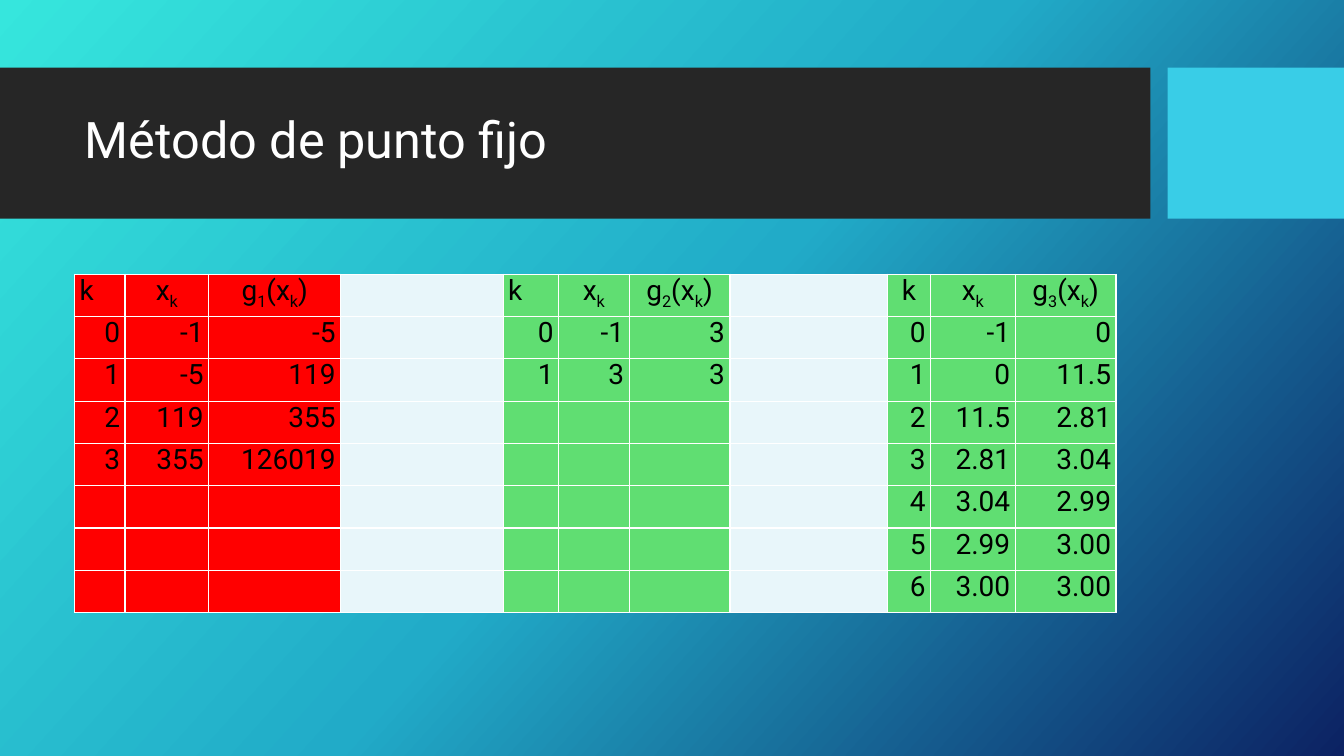
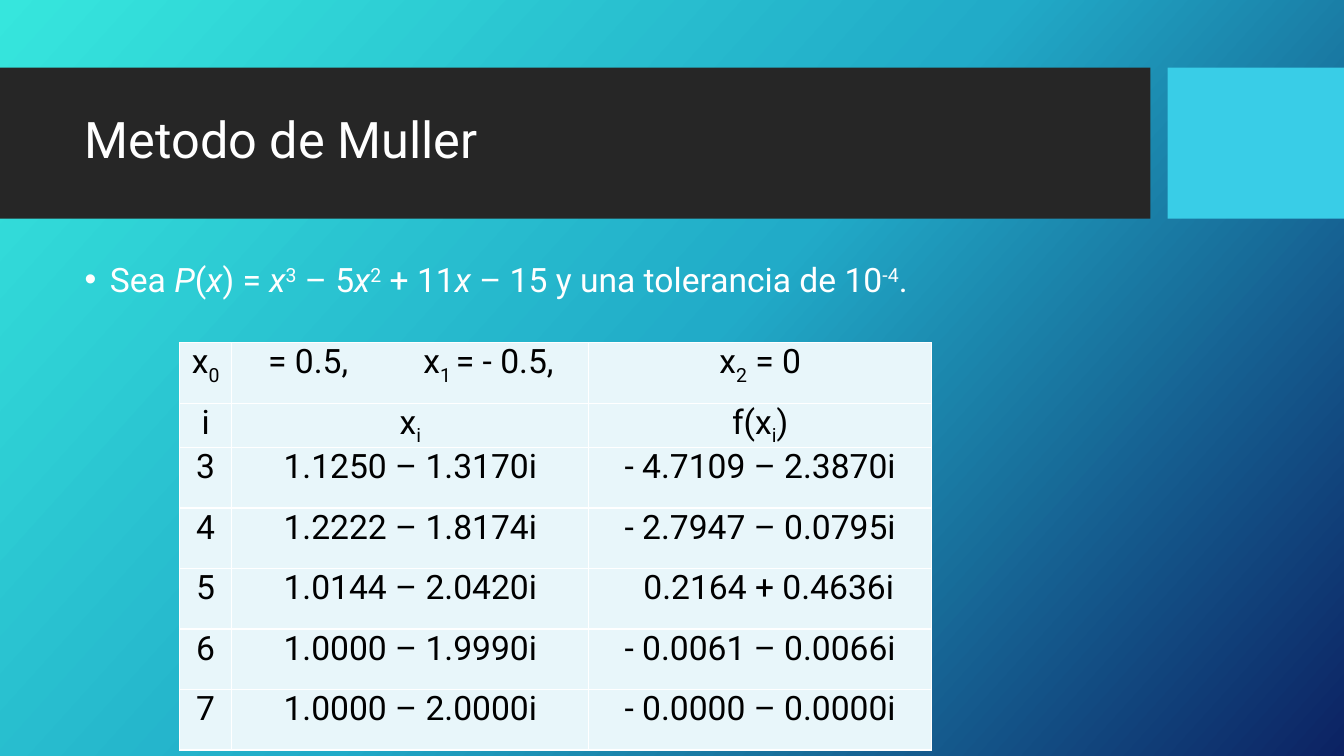
import copy
import pptx
import pptx.util
import pptx.dml.color
import pptx.enum.shapes
import pptx.enum.text
import pptx.oxml
import pptx.oxml.ns
from pptx.util import Inches, Pt

# Shared look
FONT = "Roboto"
WHITE, BLACK, PALE = "FFFFFF", "000000", "E8F6FA"
RED, GREEN = "FF0000", "60DE72"
SKY = [(0, "36E6DD"), (0.5, "21ABC8"), (1, "0C2263")]
BANDS = [(0, 11.41, "262626"), (11.58, 1.75, "39CDE7")]
LEFT, WIDE = 0.74, 10.51
ALIGN = pptx.enum.text.PP_ALIGN
L, C, R = ALIGN.LEFT, ALIGN.CENTER, ALIGN.RIGHT

# Content: "|" parts runs; a run may start with _ (sub), ^ (super) or * (italic)
FIXED = "Método de punto fijo"
BLOCKS = [  # fill, column widths, alignment of the k heading, iterates
    (RED, [0.5, 0.83, 1.31], L, ["-1", "-5", "119", "355", "126019"]),
    (GREEN, [0.55, 0.7, 1], L, ["-1", "3", "3"]),
    (GREEN, [0.43, 0.84, 1], C,
     ["-1", "0", "11.5", "2.81", "3.04", "2.99", "3.00", "3.00"]),
]
GAPS = [1.61, 1.56]

MULLER = "Metodo de Muller"
GOAL = ("Sea |*P|(|*x|) = |*x|^3| – 5|*x|^2| + 11|*x"
        "| – 15 y una tolerancia de 10|^-4|.")
STEPS = [
    ["x|_0", "= 0.5,\tx|_1 |= - 0.5,", "x|_2| = 0"],
    ["i", "x|_i", "f(x|_i|)"],
    ["3", "1.1250 – 1.3170i", "- 4.7109 – 2.3870i"],
    ["4", "1.2222 – 1.8174i", "- 2.7947 – 0.0795i"],
    ["5", "1.0144 – 2.0420i", "0.2164 + 0.4636i"],
    ["6", "1.0000 – 1.9990i", "- 0.0061 – 0.0066i"],
    ["7", "1.0000 – 2.0000i", "- 0.0000 – 0.0000i"],
]


def rgb(code):
    return pptx.dml.color.RGBColor.from_string(code)


def write(par, text, size, color):
    """Fill a paragraph from marked text."""
    for part in text.split("|"):
        mark = part[0] if part[0] in "_^*" else ""
        run = par.add_run()
        run.text = part[len(mark):]
        font = run.font
        font.name, font.size = FONT, Pt(size)
        font.color.rgb = rgb(color)
        if mark == "*":
            font.italic = True
        elif mark:
            font._element.set("baseline", "-25000" if mark == "_" else "30000")


def place(shape, x, y, w, h):
    shape.left, shape.top = Inches(x), Inches(y)
    shape.width, shape.height = Inches(w), Inches(h)


def dress(master, slide):
    """Give the master its gradient, bands and title place."""
    fill = master.background.fill
    fill.gradient()
    fill.gradient_angle = 360 - 42
    stops = next(master.element.iter(pptx.oxml.ns.qn("a:gsLst")))
    stops.insert(1, copy.deepcopy(stops[0]))
    for stop, (pos, code) in zip(fill.gradient_stops, SKY):
        stop.position = pos
        stop.color.rgb = rgb(code)
    for i, (x, w, code) in enumerate(BANDS):
        band = slide.shapes.add_shape(
            pptx.enum.shapes.MSO_SHAPE.RECTANGLE,
            Inches(x), Inches(0.67), Inches(w), Inches(1.5))
        band.shadow.inherit = False
        band.fill.solid()
        band.fill.fore_color.rgb = rgb(code)
        band.line.fill.background()
        master.shapes.element.insert(2 + i, band.element)
    for box in master.placeholders:
        if box.placeholder_format.type == pptx.enum.shapes.PP_PLACEHOLDER.TITLE:
            place(box, LEFT, 0.82, WIDE, 1.18)


def head(slide, text):
    frame = slide.shapes.title.text_frame
    frame.auto_size = pptx.enum.text.MSO_AUTO_SIZE.NONE
    frame.vertical_anchor = pptx.enum.text.MSO_ANCHOR.MIDDLE
    par = frame.paragraphs[0]
    par.alignment, par.line_spacing = L, 0.9
    write(par, text, 36, WHITE)


def grid(slide, x, y, cols, rows):
    """Add a plain table with the given column and row sizes."""
    table = slide.shapes.add_table(
        len(rows), len(cols), Inches(x), Inches(y),
        Inches(sum(cols)), Inches(sum(rows))).table
    table.first_row = table.horz_banding = False
    for col, w in zip(table.columns, cols):
        col.width = Inches(w)
    for row, h in zip(table.rows, rows):
        row.height = Inches(h)
    return table


def paint(cell, code):
    props = cell._tc.get_or_add_tcPr()
    for side in "LRTB":
        props.append(pptx.oxml.parse_xml(
            f'<a:ln{side} {pptx.oxml.ns.nsdecls("a")} w="12700"><a:solidFill>'
            f'<a:srgbClr val="{WHITE}"/></a:solidFill></a:ln{side}>'))
    cell.fill.solid()
    cell.fill.fore_color.rgb = rgb(code)
    cell.margin_left = cell.margin_right = Inches(0.05)
    cell.margin_top = cell.margin_bottom = 0


def put(cell, text, size, align):
    par = cell.text_frame.paragraphs[0]
    par.alignment = align
    write(par, text, size, BLACK)


def fixed(slide):
    head(slide, FIXED)
    cols, fills = [], []
    for i, (code, widths, _, _) in enumerate(BLOCKS):
        if i:
            cols.append(GAPS[i - 1])
            fills.append(PALE)
        cols += widths
        fills += [code] * len(widths)
    count = max(len(block[3]) for block in BLOCKS)
    table = grid(slide, LEFT, 2.72, cols, [0.42] * count)
    for r in range(count):
        for c, code in enumerate(fills):
            paint(table.cell(r, c), code)
    for i, (_, _, side, xs) in enumerate(BLOCKS):
        start = 4 * i
        names = ["k", "x|_k", f"g|_{i + 1}|(x|_k|)"]
        for c, (name, align) in enumerate(zip(names, [side, C, C])):
            put(table.cell(0, start + c), name, 20, align)
        # Each g(x) is the next x
        for k, pair in enumerate(zip(xs, xs[1:])):
            for c, text in enumerate([str(k), *pair]):
                put(table.cell(k + 1, start + c), text, 20, R)


def muller(slide):
    head(slide, MULLER)
    body = slide.placeholders[1]
    place(body, LEFT, 2.56, WIDE, 3.94)
    body.text_frame.auto_size = pptx.enum.text.MSO_AUTO_SIZE.NONE
    par = body.text_frame.paragraphs[0]
    par.line_spacing, par.space_before = 0.9, Pt(10)
    props = par._p.get_or_add_pPr()
    props.set("marL", str(Inches(0.25)))
    props.set("indent", str(Inches(-0.25)))
    props.append(pptx.oxml.parse_xml(
        f'<a:buChar {pptx.oxml.ns.nsdecls("a")} char="•"/>'))
    write(par, GOAL, 24, WHITE)

    rows = [0.6, 0.4] + [0.6] * (len(STEPS) - 2)
    table = grid(slide, 1.78, 3.4, [0.52, 3.54, 3.4], rows)
    for r, line in enumerate(STEPS):
        for c, text in enumerate(line):
            cell = table.cell(r, c)
            paint(cell, PALE)
            put(cell, text, 24, C)
    # Starting values sit on a tab stop; the unsigned value is set in
    start = table.cell(0, 1)
    start.margin_left = Inches(0.36)
    par = start.text_frame.paragraphs[0]
    par.alignment = L
    par._p.get_or_add_pPr().append(pptx.oxml.parse_xml(
        f'<a:tabLst {pptx.oxml.ns.nsdecls("a")}>'
        f'<a:tab pos="{Inches(1.54)}" algn="l"/></a:tabLst>'))
    table.cell(4, 2).margin_left = Inches(0.22)


def main():
    deck = pptx.Presentation()
    deck.slide_width, deck.slide_height = Inches(13.33), Inches(7.5)
    first = deck.slides.add_slide(deck.slide_layouts[5])
    dress(deck.slide_master, first)
    fixed(first)
    muller(deck.slides.add_slide(deck.slide_layouts[1]))
    deck.save("out.pptx")


if __name__ == "__main__":
    main()
